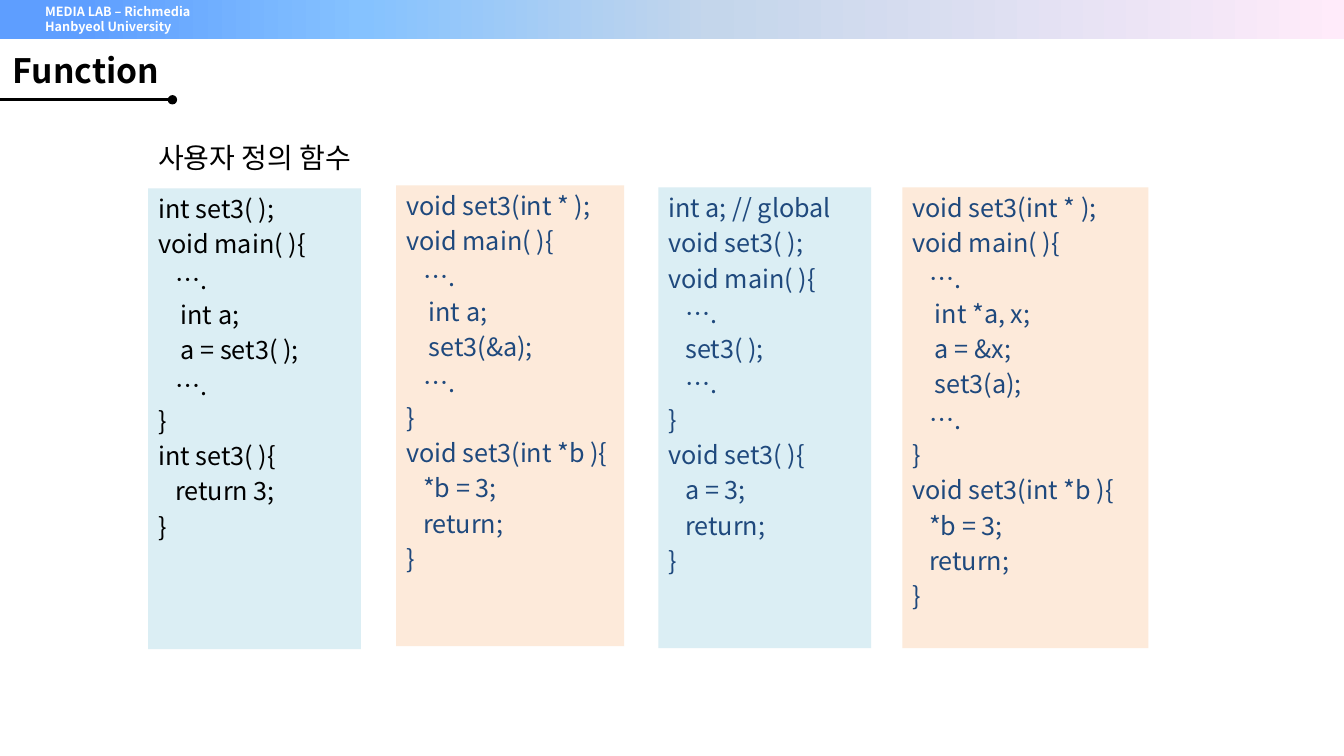
"""Build the slide that compares four user-defined function styles in C."""
import pptx
import pptx.dml.color
import pptx.enum.shapes
import pptx.enum.text
import pptx.oxml.ns
import pptx.util
from lxml import etree

Inches, Pt = pptx.util.Inches, pptx.util.Pt
RGB = pptx.dml.color.RGBColor.from_string
qn = pptx.oxml.ns.qn
SHAPES = pptx.enum.shapes.MSO_SHAPE

FONT = "Noto Sans CJK KR"
LINE_HEIGHT = 1.2
SPACE_INDENT = 0.056
PANEL_HEIGHT = 4.57
COLORS = {"black": "000000", "white": "FFFFFF", "navy": "1F497D",
          "blue": "DBEEF4", "peach": "FDEADA"}
BANNER_STOPS = [(6, "5E9EFF"), (27, "85C2FF"), (53, "C4D6EB"), (100, "FFEBFA")]

LABELS = [
    (["MEDIA LAB – Richmedia", "Hanbyeol University"],
     (0.35, -0.01, 2.7, 0.4), 9, "white", True),
    (["Function"], (0.03, 0.45, 12.46, 0.5), 24, "black", True),
    (["사용자 정의 함수"], (1.47, 1.34, 2.36, 0.44), 20, "black", False),
]

PANELS = [
    (1.47, 1.87, 2.11, "blue", "black", """\
int set3( );
void main( ){
   ….
    int a;
    a = set3( );
   ….
}
int set3( ){
   return 3;
}"""),
    (3.93, 1.84, 2.26, "peach", "navy", """\
void set3(int * );
void main( ){
   ….
    int a;
    set3(&a);
   ….
}
void set3(int *b ){
   *b = 3;
   return;
}"""),
    (6.53, 1.86, 2.11, "blue", "navy", """\
int a; // global
void set3( );
void main( ){
   ….
   set3( );
   ….
}
void set3( ){
   a = 3;
   return;
}"""),
    (8.95, 1.86, 2.44, "peach", "navy", """\
void set3(int * );
void main( ){
   ….
    int *a, x;
    a = &x;
    set3(a);
   ….
}
void set3(int *b ){
   *b = 3;
   return;
}"""),
]


def write_lines(shape, lines, size, color, bold=False, gap=0):
    """Fill a shape with lines, turning leading spaces into indents."""
    frame = shape.text_frame
    frame.word_wrap = True
    frame.vertical_anchor = pptx.enum.text.MSO_ANCHOR.TOP
    for number, line in enumerate(lines):
        para = frame.paragraphs[0] if number == 0 else frame.add_paragraph()
        text = line.lstrip()
        para.text = text
        para.alignment = pptx.enum.text.PP_ALIGN.LEFT
        para.line_spacing = Pt(size * LINE_HEIGHT)
        para.space_before = Pt(gap)
        para.font.name, para.font.size, para.font.bold = FONT, Pt(size), bold
        para.font.color.rgb = RGB(COLORS[color])
        properties = para._p.get_or_add_pPr()
        properties.set("marL", str(Inches((len(line) - len(text)) * SPACE_INDENT)))
        for span in para.runs:
            etree.SubElement(span._r.get_or_add_rPr(), qn("a:ea"), typeface=FONT)


def add_rectangle(page, left, top, width, height):
    """Add a rectangle without outline or shadow."""
    box = page.shapes.add_shape(SHAPES.RECTANGLE, Inches(left), Inches(top),
                                Inches(width), Inches(height))
    box.shadow.inherit = False
    box.line.fill.background()
    return box


def add_banner(page):
    """Add the gradient strip along the top edge."""
    banner = add_rectangle(page, 0, 0, 13.33, 0.39)
    banner.fill.gradient()
    banner.fill.gradient_angle = 0
    stops = banner._element.spPr.find(".//" + qn("a:gsLst"))
    for stop in list(stops):
        stops.remove(stop)
    for percent, color in BANNER_STOPS:
        stop = etree.SubElement(stops, qn("a:gs"), pos=str(percent * 1000))
        etree.SubElement(stop, qn("a:srgbClr"), val=color)


def add_title_rule(page):
    """Add the line under the title with a round end."""
    rule = page.shapes.add_connector(pptx.enum.shapes.MSO_CONNECTOR.STRAIGHT,
                                     0, Inches(0.99), Inches(1.71), Inches(0.99))
    rule.line.color.rgb = RGB(COLORS["black"])
    rule.line.width = Pt(2.25)
    etree.SubElement(rule.line._get_or_add_ln(), qn("a:tailEnd"), type="oval")
    etree.SubElement(rule._element.spPr, qn("a:effectLst"))


deck = pptx.Presentation()
deck.slide_width, deck.slide_height = Inches(13.33), Inches(7.5)
page = deck.slides.add_slide(deck.slide_layouts[6])

add_banner(page)
for left, top, width, fill, color, code in PANELS:
    panel = add_rectangle(page, left, top, width, PANEL_HEIGHT)
    panel.fill.solid()
    panel.fill.fore_color.rgb = RGB(COLORS[fill])
    write_lines(panel, code.splitlines(), 18, color, gap=3.6)
for lines, place, size, color, bold in LABELS:
    label = page.shapes.add_textbox(*map(Inches, place))
    write_lines(label, lines, size, color, bold)
add_title_rule(page)

deck.save("out.pptx")
